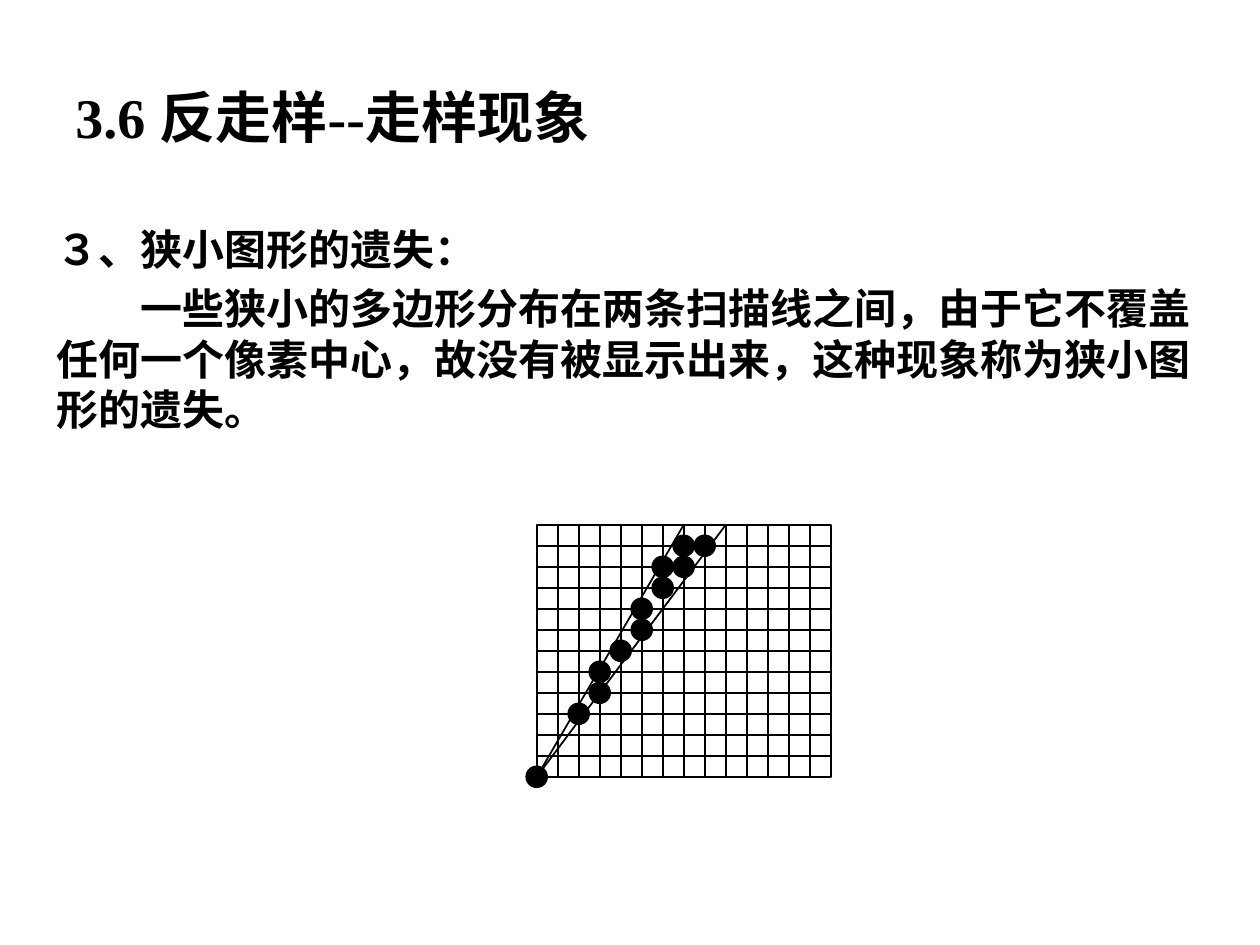
from pptx import Presentation
from pptx.dml.color import RGBColor
from pptx.enum.shapes import MSO_CONNECTOR as Link, MSO_SHAPE as Shape
from pptx.enum.text import MSO_ANCHOR as Anchor
from pptx.util import Cm, Pt
from lxml import etree

BLACK = RGBColor(0, 0, 0)
FONT = "Times New Roman"
DRAW = "{http://schemas.openxmlformats.org/drawingml/2006/main}"

# Grid in cm: square cells, 14 columns by 12 rows
LEFT, TOP = 10.82, 10.58
COLS, ROWS = 14, 12
CELL = 5.08 / ROWS
DOT = 0.42

# Lit pixels as (column, row), rows counted from the top
DOTS = [(0, 12), (2, 9), (3, 8), (3, 7), (4, 6), (5, 5),
        (5, 4), (6, 3), (6, 2), (7, 2), (7, 1), (8, 1)]


def spot(col, row):
    return LEFT + col * CELL, TOP + row * CELL


class Board:
    def __init__(self, slide):
        self.shapes = slide.shapes

    def text(self, x, y, w, h, lines, size, anchor=Anchor.TOP, gap=0):
        """Each line is a pair: wording and first-line indent in cm."""
        frame = self.shapes.add_textbox(Cm(x), Cm(y), Cm(w), Cm(h)).text_frame
        frame.word_wrap = True
        frame.vertical_anchor = anchor
        for i, (words, indent) in enumerate(lines):
            para = frame.add_paragraph() if i else frame.paragraphs[0]
            para.text = words
            font = para.font
            font.name, font.size, font.bold = FONT, Pt(size), True
            font.color.rgb = BLACK
            if i:
                para.space_before = Pt(gap)
            if indent:
                para._p.get_or_add_pPr().set("indent", str(Cm(indent)))

    def shape(self, kind, x, y, w, h, fill=None):
        item = self.shapes.add_shape(kind, Cm(x), Cm(y), Cm(w), Cm(h))
        item.shadow.inherit = False
        if fill is None:
            item.fill.background()
        else:
            item.fill.solid()
            item.fill.fore_color.rgb = fill
        item.line.color.rgb = BLACK
        item.line.width = Pt(1)
        return item

    def line(self, start, end):
        ends = [Cm(v) for v in (*start, *end)]
        item = self.shapes.add_connector(Link.STRAIGHT, *ends)
        item.line.color.rgb = BLACK
        item.line.width = Pt(1)
        etree.SubElement(item._element.spPr, DRAW + "effectLst")
        return item

    def dot(self, x, y):
        self.shape(Shape.OVAL, x - DOT / 2, y - DOT / 2, DOT, DOT, BLACK)


def main():
    deck = Presentation()
    deck.slide_width, deck.slide_height = Cm(25.4), Cm(19.05)
    board = Board(deck.slides.add_slide(deck.slide_layouts[6]))

    # Title and body
    board.text(1.27, 0.76, 22.86, 3.18, [("3.6 反走样--走样现象", 0)],
               32, Anchor.MIDDLE)
    board.text(0.89, 4.39, 23.67, 5.54, [
        ("３、狭小图形的遗失：", 0),
        ("一些狭小的多边形分布在两条扫描线之间，由于它不覆盖任何一个像素中心，"
         "故没有被显示出来，这种现象称为狭小图形的遗失。", 1.69),
    ], 24, gap=4.8)

    # Pixel grid; the middle lines are joined to the frame
    frame = board.shape(Shape.RECTANGLE, LEFT, TOP, COLS * CELL, ROWS * CELL)
    for col in range(1, COLS):
        rule = board.line(spot(col, 0), spot(col, ROWS))
        if col * 2 == COLS:
            rule.begin_connect(frame, 0)
            rule.end_connect(frame, 2)
    for row in range(1, ROWS):
        rule = board.line(spot(0, row), spot(COLS, row))
        if row * 2 == ROWS:
            rule.begin_connect(frame, 1)
            rule.end_connect(frame, 3)

    # Lit pixels
    for col, row in DOTS:
        board.dot(*spot(col, row))

    # Edges of the narrow polygon
    edge = board.line(spot(7, 0), spot(0, ROWS))
    edge.begin_connect(frame, 0)
    board.line(spot(0, ROWS), spot(9, 0))

    deck.save("out.pptx")


if __name__ == "__main__":
    main()
